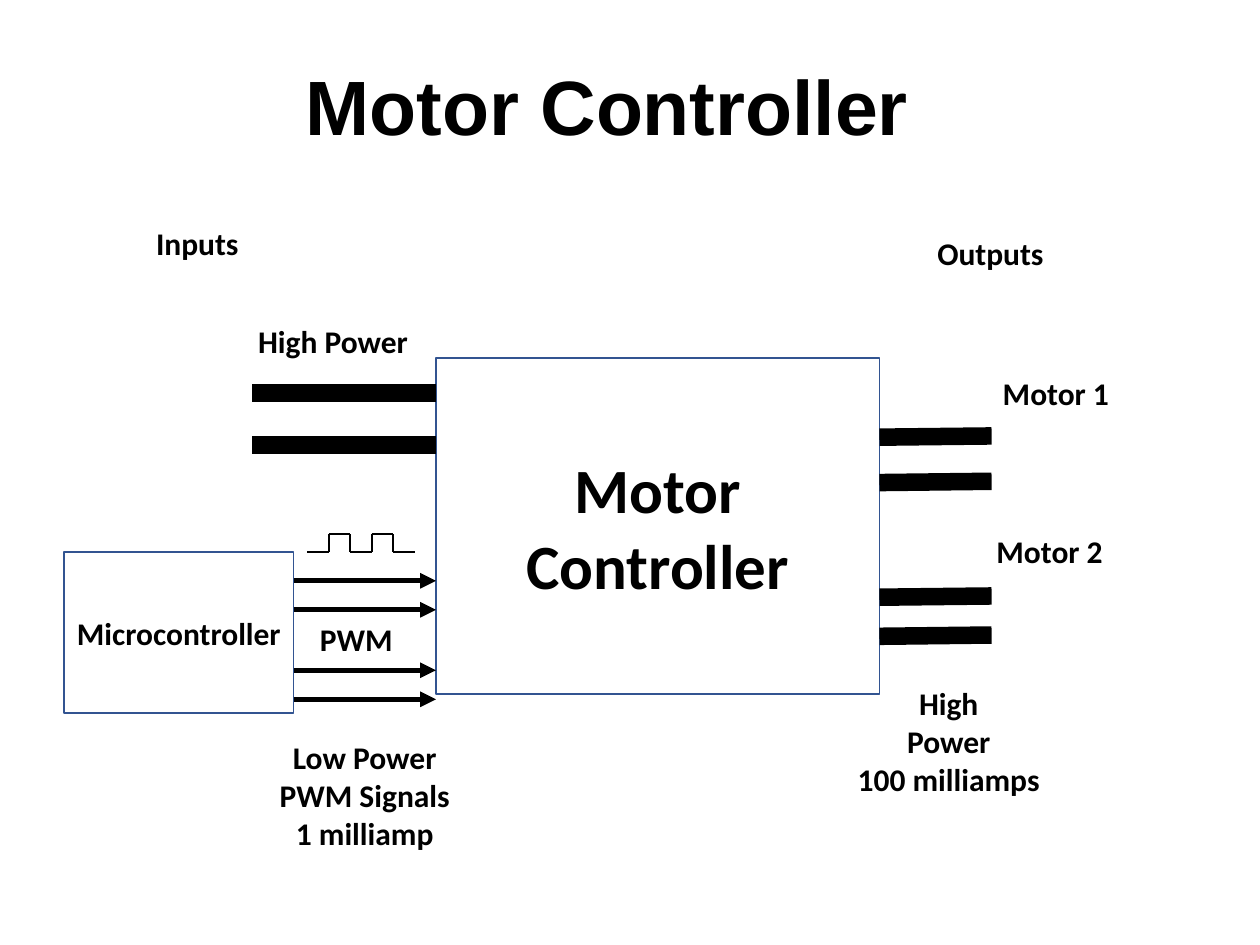
from lxml.etree import SubElement
from pptx import Presentation
from pptx.dml.color import RGBColor
from pptx.enum.shapes import MSO_CONNECTOR as CONN, MSO_SHAPE as SHAPE
from pptx.enum.text import MSO_ANCHOR as ANCHOR, MSO_AUTO_SIZE as FIT, PP_ALIGN as ALIGN
from pptx.oxml.ns import qn
from pptx.util import Inches, Pt

rgb = RGBColor.from_string
BLACK, WHITE, BLUE = "000000", "FFFFFF", "325491"

prs = Presentation()
prs.slide_width, prs.slide_height = Inches(10), Inches(7.5)
s = prs.slides.add_slide(prs.slide_layouts[5])

# Grid of 100 columns by 75 rows
COL, ROW = prs.slide_width / 100, prs.slide_height / 75


def write(tf, lines, size=18, name="Calibri", align=ALIGN.CENTER):
    """Fill a text frame with one bold paragraph per line."""
    for i, line in enumerate(lines):
        p = tf.paragraphs[0] if i == 0 else tf.add_paragraph()
        p.alignment = align
        r = p.add_run()
        r.text = line
        look = {"size": Pt(size), "name": name, "bold": True}
        for key, value in look.items():
            setattr(r.font, key, value)
        r.font.color.rgb = rgb(BLACK)


def wire(shapes, x1, y1, x2, y2, width, arrow=False):
    """Draw a black straight line between two grid points."""
    ends = [round(v) for v in (x1 * COL, y1 * ROW, x2 * COL, y2 * ROW)]
    c = shapes.add_connector(CONN.STRAIGHT, *ends)
    c.line.width = Pt(width)
    c.line.color.rgb = rgb(BLACK)
    if arrow:
        SubElement(c.line._get_or_add_ln(), qn("a:tailEnd"), type="triangle")
    SubElement(c._element.spPr, qn("a:effectLst"))


# Title
title = s.shapes.title
place = {"left": 3.2 * COL, "top": 1.5 * ROW, "width": 90 * COL, "height": 14.5 * ROW}
for key, value in place.items():
    setattr(title, key, round(value))
title.text_frame.vertical_anchor = ANCHOR.MIDDLE
write(title.text_frame, ["Motor Controller"], 44, "Arial")
title.text_frame.paragraphs[0].line_spacing = 0.9

# Controller and microcontroller boxes
ctrl_left, ctrl_right, micro_right = 34.6, 69.8, 23.3
boxes = [
    (ctrl_left, 28.4, ctrl_right - ctrl_left, 26.7, ["Motor", "Controller"], 36),
    (5.1, 43.8, micro_right - 5.1, 12.8, ["Microcontroller"], 18),
]
for x, y, w, h, lines, size in boxes:
    sp = s.shapes.add_shape(SHAPE.RECTANGLE, round(x * COL), round(y * ROW),
                            round(w * COL), round(h * ROW))
    sp.shadow.inherit = False
    sp.fill.solid()
    sp.fill.fore_color.rgb = rgb(WHITE)
    sp.line.color.rgb = rgb(BLUE)
    sp.line.width = Pt(1)
    tf = sp.text_frame
    frame = {"word_wrap": True, "vertical_anchor": ANCHOR.MIDDLE,
             "margin_left": Inches(0.05), "margin_right": Inches(0.05)}
    for key, value in frame.items():
        setattr(tf, key, value)
    write(tf, lines, size)

# Thick power lines in and out
for y in (31.2, 35.3):
    wire(s.shapes, 20, y, ctrl_left, y, 10)
for y in (34.7, 38.3, 47.4, 50.5):
    wire(s.shapes, ctrl_right, y, 78.7, y - 0.1, 10)

# PWM signal arrows
for y in (46.1, 48.4, 53.2, 55.5):
    wire(s.shapes, micro_right, y, ctrl_left, y, 3, arrow=True)

# Square wave: five steps alternating low and high
wave = s.shapes.add_group_shape().shapes
start, step, low, high = 24.4, 1.7, 43.8, 42.4
for i in range(5):
    x, y = start + i * step, high if i % 2 else low
    wire(wave, x, y, x + step, y, 1)
    if i:
        wire(wave, x, low, x, high, 1)

# Labels
labels = [
    (11.4, 17.3, 8.6, ["Inputs"]),
    (73.4, 18.1, 10.5, ["Outputs"]),
    (19.5, 25.1, 14, ["High Power"]),
    (78.6, 29.2, 10.5, ["Motor 1"]),
    (78.1, 41.7, 10.5, ["Motor 2"]),
    (24.4, 48.7, 7.9, ["PWM"]),
    (21.1, 58.1, 15.7, ["Low Power", "PWM Signals", "1 milliamp"]),
    (67, 53.8, 16.6, ["High", "Power", "100 milliamps"]),
]
for x, y, w, lines in labels:
    h = 1 + 3 * len(lines)
    tf = s.shapes.add_textbox(round(x * COL), round(y * ROW),
                              round(w * COL), round(h * ROW)).text_frame
    tf.word_wrap = False
    tf.auto_size = FIT.SHAPE_TO_FIT_TEXT
    write(tf, lines, align=ALIGN.CENTER if len(lines) > 1 else ALIGN.LEFT)

prs.save("out.pptx")
